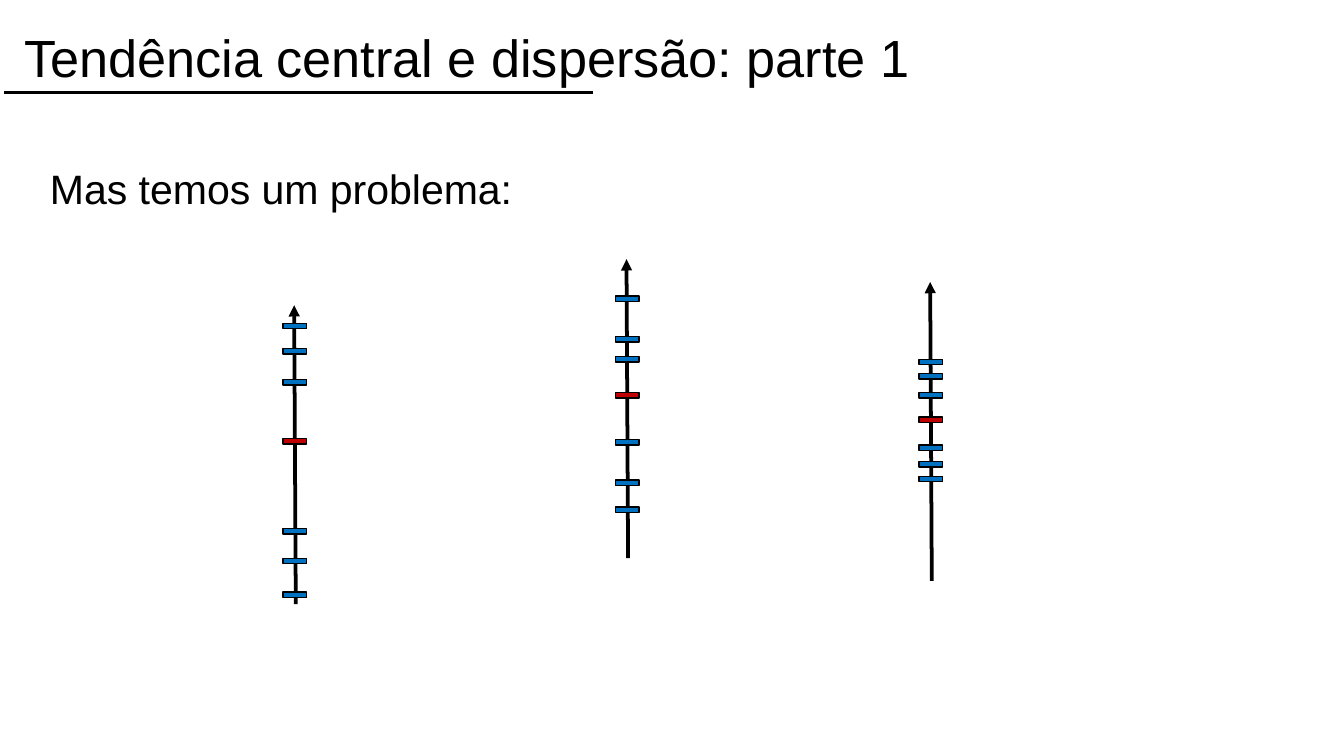
from dataclasses import dataclass

from pptx import Presentation
from pptx.dml.color import RGBColor
from pptx.enum.shapes import MSO_CONNECTOR, MSO_SHAPE
from pptx.enum.text import MSO_ANCHOR, MSO_AUTO_SIZE, PP_ALIGN
from pptx.oxml.ns import qn
from pptx.util import Cm, Pt

LINE = MSO_CONNECTOR.STRAIGHT
MINUS = MSO_SHAPE.MATH_MINUS
MIDDLE = MSO_ANCHOR.MIDDLE
LEFT, JUSTIFY = PP_ALIGN.LEFT, PP_ALIGN.JUSTIFY
FIT, FIXED = MSO_AUTO_SIZE.SHAPE_TO_FIT_TEXT, MSO_AUTO_SIZE.NONE


@dataclass(frozen=True)
class Theme:
    font: str = "Arial"
    ink: RGBColor = RGBColor(0x00, 0x00, 0x00)
    data: RGBColor = RGBColor(0x00, 0x70, 0xC0)
    mean: RGBColor = RGBColor(0xC0, 0x00, 0x00)
    title: Pt = Pt(28)
    body: Pt = Pt(22)
    axis: Pt = Pt(2)
    rule: Pt = Pt(1.5)
    edge: Pt = Pt(0.75)


THEME = Theme()
MARK_W, MARK_H = 0.61, 0.43
LEAN = 0.03  # the foot of each axis sits slightly to the right

# Each axis: box in cm, then the tops of its marks below the arrow tip.
# The middle mark is the mean.
AXES = [
    ((5.56, 5.77, LEAN, 5.65), (0.18, 0.66, 1.24, 2.36, 4.06, 4.62, 5.26)),
    ((11.84, 4.9, LEAN, 5.65), (0.53, 1.3, 1.68, 2.36, 3.25, 4.01, 4.52)),
    ((17.58, 5.33, LEAN, 5.65), (1.3, 1.57, 1.93, 2.39, 2.92, 3.23, 3.51)),
]


def set_text(holder, box, text, size, align, fit):
    """Move a placeholder into its box and format its one paragraph."""
    holder.left, holder.top, holder.width, holder.height = map(Cm, box)
    frame = holder.text_frame
    frame.text = text
    frame.word_wrap = True
    frame.auto_size = fit
    frame.vertical_anchor = MIDDLE
    para = frame.paragraphs[0]
    para.alignment = align
    para.space_before = Pt(0)
    font = para.runs[0].font
    font.name, font.size = THEME.font, size
    font.color.rgb = THEME.ink
    return para


def add_line(slide, start, end, width):
    line = slide.shapes.add_connector(LINE, *map(Cm, start + end))
    line.line.color.rgb = THEME.ink
    line.line.width = width
    props = line._element.spPr
    props.append(props.makeelement(qn("a:effectLst"), {}))
    return line


def add_head(slide, box):
    """Title with the rule under it."""
    x, y, w, h = box
    set_text(slide.shapes.title, box, "Tendência central e dispersão: parte 1",
             THEME.title, LEFT, FIXED)
    rule = y + 1.6
    add_line(slide, (x - 0.12, rule), (x + 11, rule), THEME.rule)


def add_body(slide, box):
    """Lead sentence, without a bullet."""
    para = set_text(slide.placeholders[1], box, "Mas temos um problema:",
                    THEME.body, JUSTIFY, FIT)
    props = para._p.get_or_add_pPr()
    props.set("marL", "0")
    props.set("indent", "0")
    props.append(props.makeelement(qn("a:buNone"), {}))


def add_axis(slide, box, tops):
    """Upward arrow with one mark for each value."""
    x, y, w, h = box
    axis = add_line(slide, (x + w, y + h), (x, y), THEME.axis)
    stroke = axis._element.spPr.find(qn("a:ln"))
    stroke.append(stroke.makeelement(qn("a:tailEnd"), {"type": "triangle"}))

    for i, top in enumerate(tops):
        left = x + w / 2 - MARK_W / 2
        mark = slide.shapes.add_shape(
            MINUS, Cm(left), Cm(y + top), Cm(MARK_W), Cm(MARK_H))
        mark.shadow.inherit = False
        mark.fill.solid()
        is_mean = i == len(tops) // 2
        mark.fill.fore_color.rgb = THEME.mean if is_mean else THEME.data
        mark.line.color.rgb = THEME.ink
        mark.line.width = THEME.edge


def main():
    deck = Presentation()
    deck.slide_width, deck.slide_height = Cm(25.4), Cm(14.29)
    slide = deck.slides.add_slide(deck.slide_layouts[1])
    add_head(slide, (0.2, 0.15, 20.3, 1.83))
    add_body(slide, (0.69, 2.95, 21.16, 1.19))
    for box, tops in AXES:
        add_axis(slide, box, tops)
    deck.save("out.pptx")


if __name__ == "__main__":
    main()
